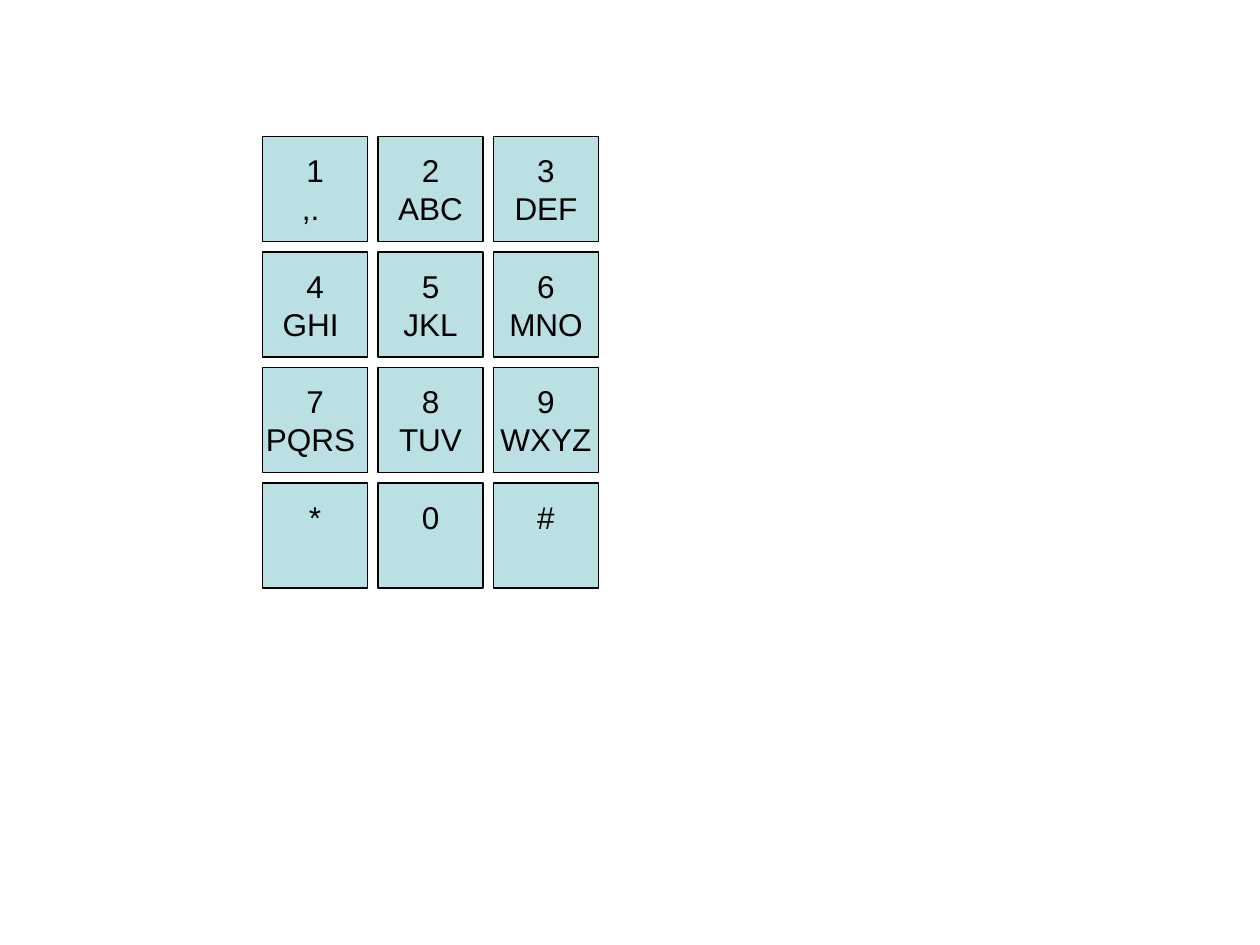
from pptx import Presentation
from pptx.dml.color import RGBColor
from pptx.enum.shapes import MSO_SHAPE
from pptx.enum.text import MSO_ANCHOR, PP_ALIGN
from pptx.util import Inches, Pt

KEY_ROWS = [
    [("1", ",. "), ("2", "ABC"), ("3", "DEF")],
    [("4", "GHI "), ("5", "JKL"), ("6", "MNO")],
    [("7", "PQRS "), ("8", "TUV"), ("9", "WXYZ")],
    [("*",), ("0",), ("#",)],
]

KEY_FILL = RGBColor(0xBB, 0xE0, 0xE3)
BLACK = RGBColor(0, 0, 0)
FONT_SIZE = Pt(18)
LINE_HEIGHT = int(FONT_SIZE * 1.15)
LINES_PER_KEY = 2

deck = Presentation()
deck.slide_width, deck.slide_height = Inches(10), Inches(7.5)
page = deck.slides.add_slide(deck.slide_layouts[6])

KEY_SIZE = deck.slide_width // 12
PITCH = int(KEY_SIZE * 1.1)
LEFT = int(KEY_SIZE * 2.5)
TOP = int(KEY_SIZE * 1.3)


def add_key(keypad, column, row, lines):
    key = keypad.shapes.add_shape(
        MSO_SHAPE.RECTANGLE, LEFT + column * PITCH, TOP + row * PITCH, KEY_SIZE, KEY_SIZE)
    key.shadow.inherit = False
    key.fill.solid()
    key.fill.fore_color.rgb = KEY_FILL
    key.line.color.rgb = BLACK
    key.line.width = Pt(0.75)

    frame = key.text_frame
    frame.word_wrap = False
    frame.vertical_anchor = MSO_ANCHOR.MIDDLE
    # Keys without letters keep their symbol level with the upper line.
    frame.margin_bottom = Inches(0.05) + LINE_HEIGHT * (LINES_PER_KEY - len(lines))
    for index, line in enumerate(lines):
        para = frame.add_paragraph() if index else frame.paragraphs[0]
        para.alignment = PP_ALIGN.CENTER
        span = para.add_run()
        span.text = line
        span.font.name = "Arial"
        span.font.size = FONT_SIZE
        span.font.color.rgb = BLACK


keypad = page.shapes.add_group_shape()
for row, keys in enumerate(KEY_ROWS):
    for column, lines in enumerate(keys):
        add_key(keypad, column, row, lines)

deck.save("out.pptx")
